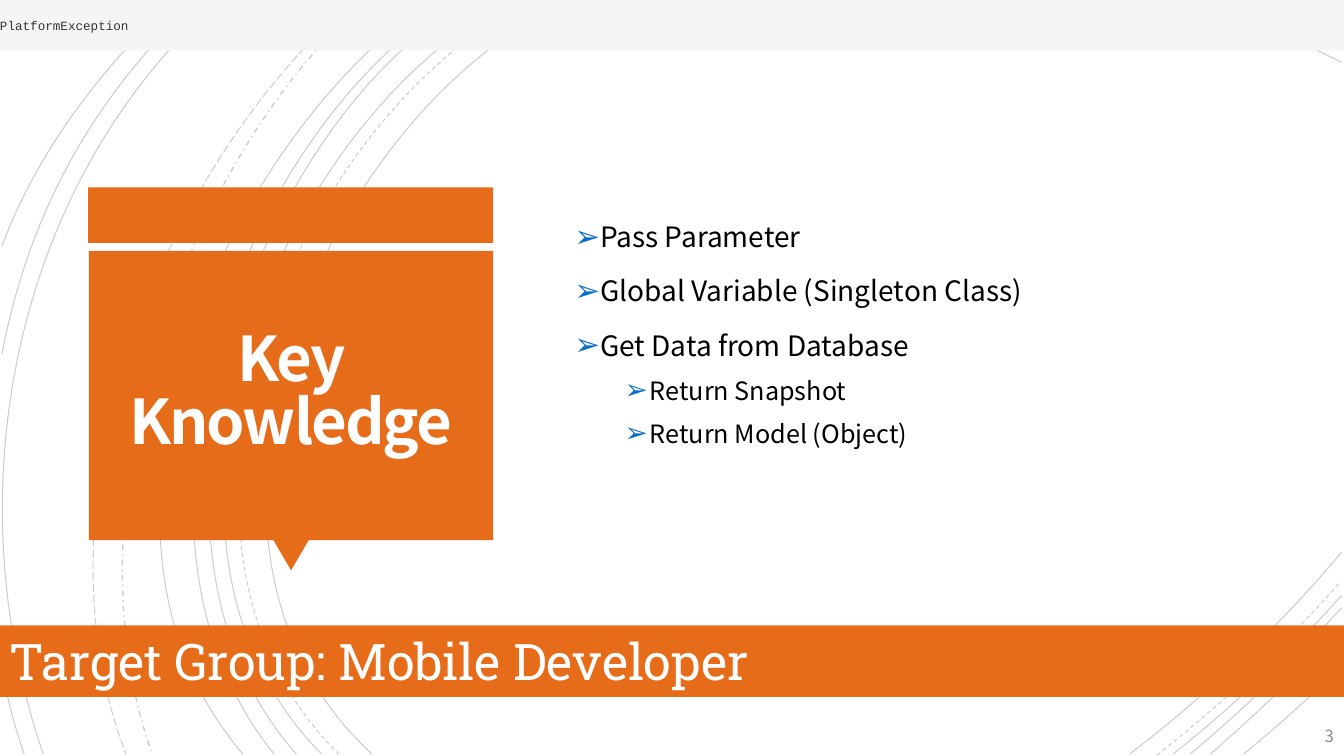
import pptx
import pptx.util
import pptx.dml.color
import pptx.enum.dml
import pptx.enum.shapes
import pptx.enum.text
from lxml import etree
from pptx.oxml.ns import qn

Cm, Pt = pptx.util.Cm, pptx.util.Pt
RGBColor = pptx.dml.color.RGBColor
Dash = pptx.enum.dml.MSO_LINE
Shape = pptx.enum.shapes.MSO_SHAPE
Align = pptx.enum.text.PP_ALIGN
Anchor = pptx.enum.text.MSO_ANCHOR
AutoSize = pptx.enum.text.MSO_AUTO_SIZE

# Content
TITLE = "Key Knowledge"
TOPICS = [  # level, text
    (0, "Pass Parameter"),
    (0, "Global Variable (Singleton Class)"),
    (0, "Get Data from Database"),
    (1, "Return Snapshot"),
    (1, "Return Model (Object)"),
]
AUDIENCE = "Target Group: Mobile Developer"
CODE_LABEL = "PlatformException"
PAGE_NUMBER = "3"

# Colours and fonts
ORANGE = RGBColor(0xE7, 0x6C, 0x19)
PALE_GREY = RGBColor(0xF5, 0xF5, 0xF7)
BLACK = RGBColor(0, 0, 0)
WHITE = RGBColor(0xFF, 0xFF, 0xFF)
TITLE_WHITE = RGBColor(0xFF, 0xFE, 0xFF)
PAGE_GREY = RGBColor(0x8C, 0x8C, 0x8C)
CODE_GREY = RGBColor(0x33, 0x33, 0x33)
BULLET_BLUE = RGBColor(0x0F, 0x6F, 0xC6)
SANS = "Noto Sans CJK JP"

TITLE_FONT = {"name": SANS, "size": Pt(44), "bold": True}
TOPIC_FONTS = [{"name": SANS, "size": Pt(20)}, {"name": SANS, "size": Pt(18)}]
PAGE_FONT = {"name": SANS, "size": Pt(12)}
AUDIENCE_FONT = {"name": "Roboto Slab", "size": Pt(36)}
CODE_FONT = {"name": "Courier New", "size": Pt(9)}

# Background arcs: dash, then start, two control points and end, on a 2.54 cm grid
GRID = 2.54
ARCS = [
    (Dash.SOLID, (5.65, 0), (3.15, 1.15), (1.43, 5.4), (3.69, 7.48)),
    (Dash.SOLID, (13.31, 0.62), (12.78, 0.34), (12.18, 0.16), (11.62, 0.01)),
    (Dash.SOLID, (11.21, 7.48), (11.97, 6.9), (12.69, 6.22), (13.31, 5.48)),
    (Dash.DASH, (5.25, 0), (2.85, 1.25), (1.23, 5.37), (3.36, 7.48)),
    (Dash.DASH, (13.31, 0.41), (12.97, 0.25), (12.6, 0.12), (12.25, 0.01)),
    (Dash.DASH, (11.48, 7.49), (12.13, 6.98), (12.75, 6.4), (13.3, 5.77)),
    (Dash.SOLID, (5.06, 0), (2.7, 1.27), (1.1, 5.37), (3.19, 7.48)),
    (Dash.SOLID, (13.31, 0.29), (13.07, 0.19), (12.83, 0.09), (12.58, 0.01)),
    (Dash.SOLID, (11.64, 7.48), (12.23, 7.01), (12.8, 6.48), (13.31, 5.91)),
    (Dash.SOLID, (4.64, 0), (2.44, 1.33), (1.1, 5.41), (2.94, 7.48)),
    (Dash.SOLID, (11.81, 7.48), (12.34, 7.04), (12.84, 6.55), (13.31, 6.03)),
    (Dash.SOLID, (4.51, 0), (2.31, 1.38), (0.97, 5.33), (2.72, 7.48)),
    (Dash.SOLID, (12.01, 7.48), (12.46, 7.09), (12.9, 6.67), (13.31, 6.23)),
    (Dash.SOLID, (4.27, 0), (2.17, 1.47), (0.53, 5.29), (2.41, 7.48)),
    (Dash.SOLID, (12.34, 7.48), (12.67, 7.21), (12.99, 6.92), (13.31, 6.62)),
    (Dash.DASH_DOT, (3.63, 0), (1.76, 1.66), (0.65, 5.09), (1.51, 7.48)),
    (Dash.LONG_DASH, (3.51, 0), (1.57, 1.69), (0.29, 4.99), (1.25, 7.48)),
    (Dash.SOLID, (2.17, 0), (0.11, 1.85), (-0.46, 4.9), (0.43, 7.48)),
    (Dash.SOLID, (1.95, 0.01), (0.92, 0.96), (0.28, 2.14), (0.02, 3.51)),
    (Dash.SOLID, (0.01, 6.58), (0.06, 6.89), (0.14, 7.19), (0.24, 7.48)),
    (Dash.SOLID, (1.72, 0), (1, 0.69), (0.37, 1.5), (0.02, 2.44)),
]


def add_arc(shapes, dash, *controls):
    start, *others = [(Cm(GRID * x), Cm(GRID * y)) for x, y in controls]
    builder = shapes.build_freeform(*start, scale=1.0)
    builder.add_line_segments(others, close=False)
    arc = builder.convert_to_shape()
    # Join the three segments into one Bezier curve
    segments = list(arc.element.iter(qn("a:lnTo")))
    curve = etree.SubElement(segments[0].getparent(), qn("a:cubicBezTo"))
    for segment in segments:
        curve.append(segment[0])
        segment.getparent().remove(segment)
    arc.shadow.inherit = False
    arc.fill.background()
    arc.line.color.rgb = BLACK
    arc.line.width = Pt(1 if dash == Dash.DASH_DOT else 0.75)
    arc.line.dash_style = dash
    colour = arc.element.find(".//" + qn("a:ln")).find(".//" + qn("a:srgbClr"))
    etree.SubElement(colour, qn("a:alpha"), val="20000")


def add_block(shapes, preset, box, colour):
    block = shapes.add_shape(preset, *map(Cm, box))
    block.shadow.inherit = False
    block.fill.solid()
    block.fill.fore_color.rgb = colour
    block.line.fill.background()
    return block


def set_frame(shape, inset=None, **values):
    frame = shape.text_frame
    for name, value in {"word_wrap": True, "auto_size": AutoSize.NONE, **values}.items():
        setattr(frame, name, value)
    if inset is not None:
        for side in ("left", "top", "right", "bottom"):
            setattr(frame, "margin_" + side, Cm(inset))
    return frame


def write(paragraph, text, font, colour, **layout):
    for name, value in layout.items():
        setattr(paragraph, name, value)
    run = paragraph.add_run()
    run.text = text
    for name, value in font.items():
        setattr(run.font, name, value)
    run.font.color.rgb = colour
    return run


def add_bullet(paragraph, level):
    properties = paragraph._p.get_or_add_pPr()
    properties.set("marL", str(Cm(0.635 + 1.27 * level)))
    properties.set("indent", str(Cm(-0.635)))
    colour = etree.SubElement(properties, qn("a:buClr"))
    etree.SubElement(colour, qn("a:srgbClr"), val=str(BULLET_BLUE))
    etree.SubElement(properties, qn("a:buSzPct"), val="110000")
    etree.SubElement(properties, qn("a:buChar"), char="➢")


def place(shape, box):
    for name, value in zip(("left", "top", "width", "height"), box):
        setattr(shape, name, Cm(value))


def main():
    deck = pptx.Presentation()
    deck.slide_width, deck.slide_height = Cm(33.87), Cm(19.05)
    slide = deck.slides.add_slide(deck.slide_layouts[1])
    shapes = slide.shapes
    title, topics = shapes.title, slide.placeholders[1]

    # Background arcs and title panel
    for arc in ARCS:
        add_arc(shapes, *arc)
    add_block(shapes, Shape.RECTANGLE, (2.22, 4.72, 10.21, 1.4), ORANGE)
    pointer = add_block(shapes, Shape.ISOSCELES_TRIANGLE, (6.89, 13.61, 0.89, 0.76), ORANGE)
    pointer.rotation = 180
    add_block(shapes, Shape.RECTANGLE, (2.24, 6.32, 10.19, 7.29), ORANGE)

    # Title and topics, brought in front of the panel
    for placeholder in (title, topics):
        shapes.element.append(placeholder.element)
    place(title, (2.46, 6.52, 9.73, 6.83))
    frame = set_frame(title, 0.64, vertical_anchor=Anchor.MIDDLE)
    heading = write(frame.paragraphs[0], TITLE, TITLE_FONT, TITLE_WHITE,
                    alignment=Align.CENTER, line_spacing=0.85)
    heading._r.get_or_add_rPr().set("spc", "-150")

    place(topics, (14.22, 2.23, 19.65, 12.2))
    frame = set_frame(topics, vertical_anchor=Anchor.MIDDLE)
    for index, (level, text) in enumerate(TOPICS):
        paragraph = frame.add_paragraph() if index else frame.paragraphs[0]
        space = (10, 5)[level] if index else 0
        write(paragraph, text, TOPIC_FONTS[level], BLACK, level=level,
              line_spacing=1.2, space_before=Pt(space))
        add_bullet(paragraph, level)

    # Page number
    page = shapes.add_textbox(*map(Cm, (31.33, 18.1, 2.54, 0.89)))
    frame = set_frame(page, vertical_anchor=Anchor.MIDDLE)
    write(frame.paragraphs[0], PAGE_NUMBER, PAGE_FONT, PAGE_GREY, alignment=Align.RIGHT)

    # Audience band and code label
    audience = add_block(shapes, Shape.RECTANGLE, (0, 15.76, 33.87, 1.8), ORANGE)
    frame = set_frame(audience, vertical_anchor=Anchor.TOP)
    write(frame.paragraphs[0], AUDIENCE, AUDIENCE_FONT, WHITE, alignment=Align.LEFT)
    code = add_block(shapes, Shape.RECTANGLE, (0, 0, 33.87, 1.27), PALE_GREY)
    frame = set_frame(code, 0, vertical_anchor=Anchor.MIDDLE, word_wrap=False)
    write(frame.paragraphs[0], CODE_LABEL, CODE_FONT, CODE_GREY, alignment=Align.LEFT)

    deck.save("out.pptx")


if __name__ == "__main__":
    main()
